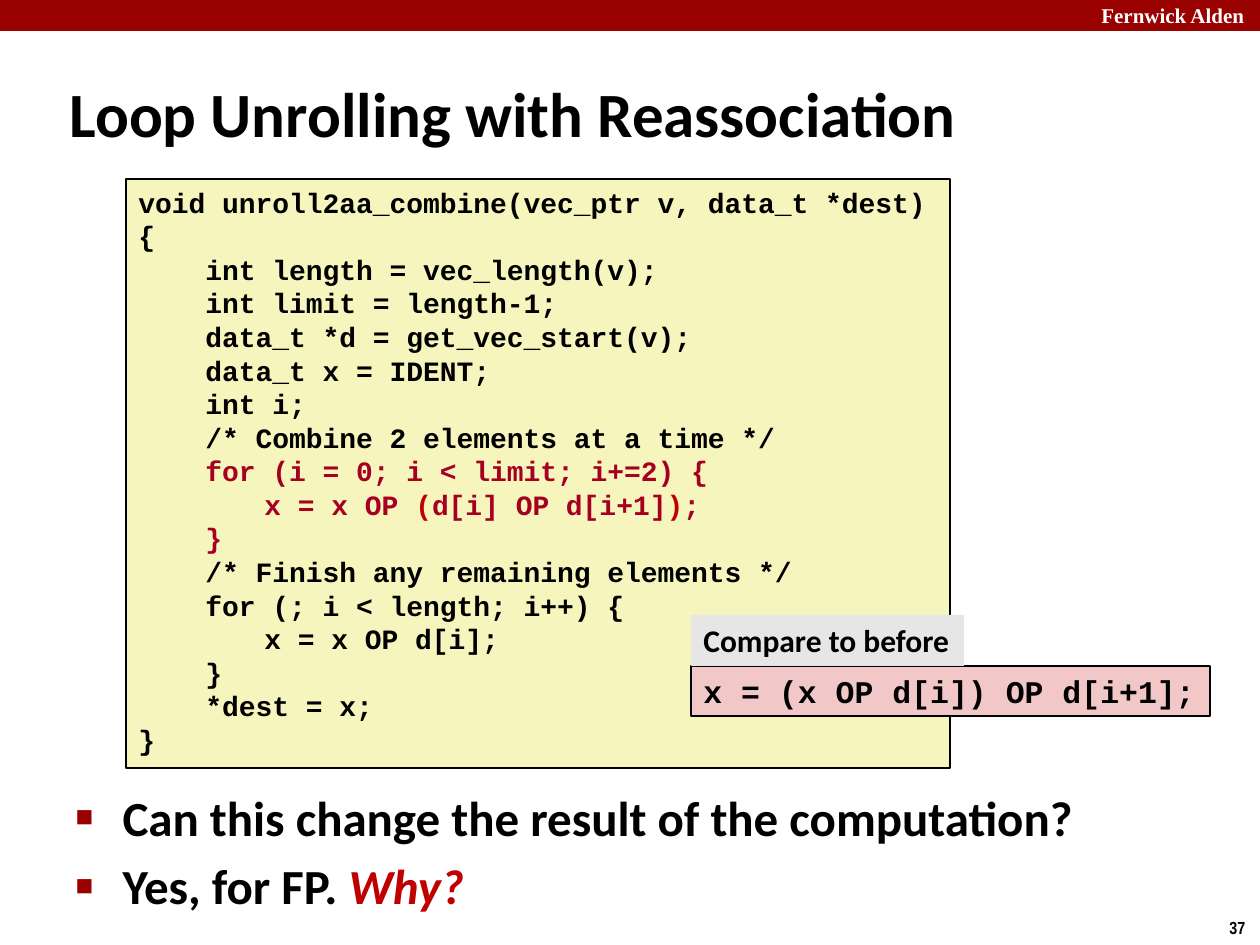
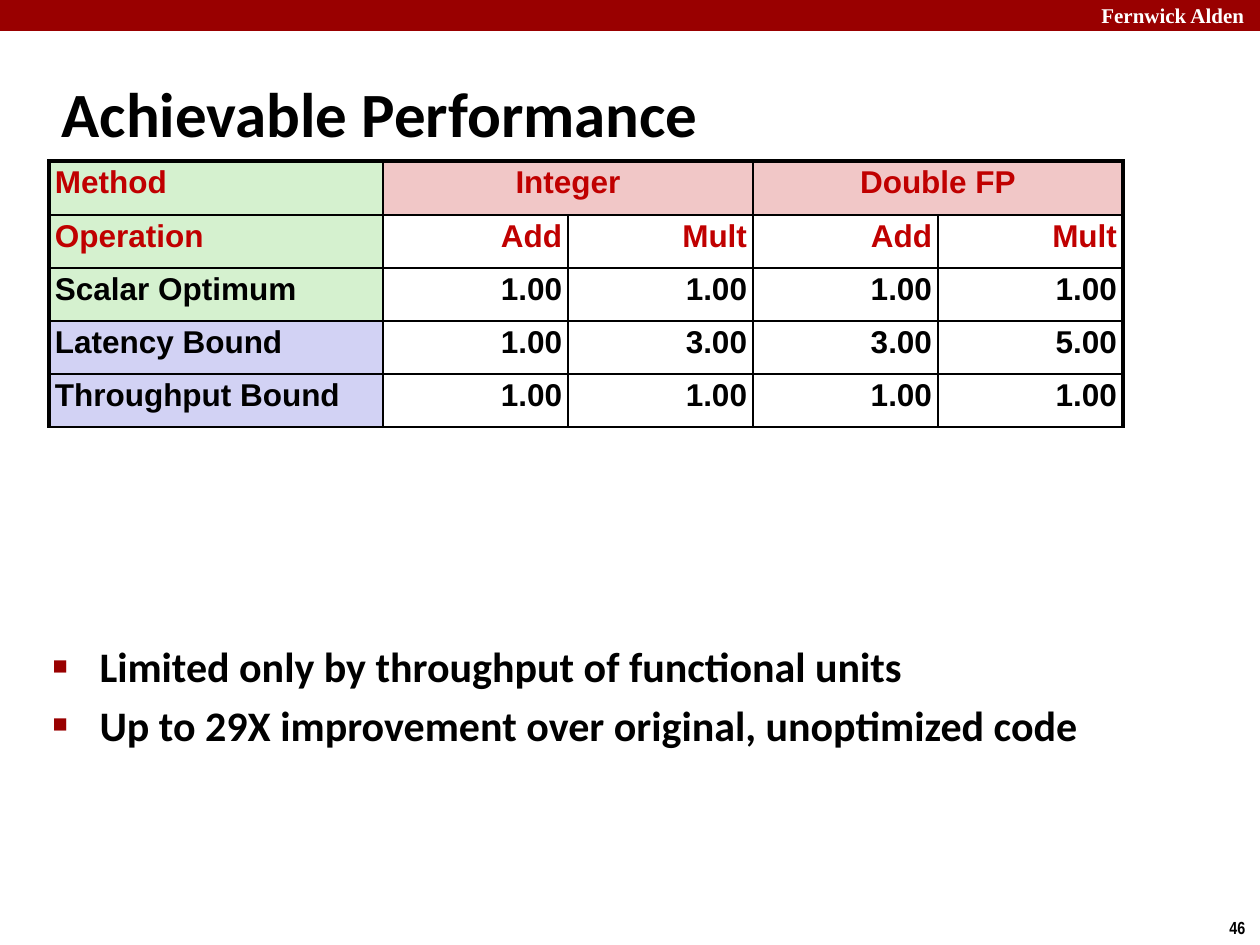
from lxml.etree import SubElement
from pptx import Presentation
from pptx.dml.color import RGBColor
from pptx.enum.shapes import MSO_SHAPE as Shape
from pptx.enum.text import MSO_ANCHOR as Anchor, MSO_AUTO_SIZE as AutoSize, PP_ALIGN as Align
from pptx.oxml.ns import qn
from pptx.util import Pt

BLACK = RGBColor(0x00, 0x00, 0x00)
WHITE = RGBColor(0xFF, 0xFF, 0xFF)
BAND_RED = RGBColor(0x99, 0x00, 0x00)
ACCENT_RED = RGBColor(0xC0, 0x00, 0x00)
LOOP_RED = RGBColor(0xA5, 0x00, 0x21)
CODE_YELLOW = RGBColor(0xF6, 0xF5, 0xBD)
PINK = RGBColor(0xF1, 0xC7, 0xC7)
GREY = RGBColor(0xE6, 0xE6, 0xE6)
GREEN = RGBColor(0xD5, 0xF1, 0xCF)
LAVENDER = RGBColor(0xD2, 0xD2, 0xF4)

PX_PER_INCH = 126
LEVEL = (0, 67, 126)
BULLET_INDENT = 47


def px(length):
    return round(length * 914400 / PX_PER_INCH)


class Deck:
    def __init__(self):
        self.presentation = Presentation()
        self.presentation.slide_width = px(1260)
        self.presentation.slide_height = px(945)
        self.slide = None

    def start_slide(self, heading, heading_left, number):
        layout = self.presentation.slide_layouts[1]
        self.slide = self.presentation.slides.add_slide(layout)
        self.box((0, 0, 1260, 31), BAND_RED)
        self.text((1089, -4, 180, 38), "Fernwick Alden", "Times New Roman", 12, WHITE)
        self.text((1217, 911, 43, 34), number, "Arial Narrow", 10)
        title = self.slide.shapes.title
        self.place(title, (heading_left, 60, 1046, 105))
        frame = self.prepare(title, Anchor.MIDDLE)
        self.fill_paragraph(frame.paragraphs[0], [heading], "Calibri", 36)

    def place(self, shape, area):
        shape.left, shape.top, shape.width, shape.height = map(px, area)

    def prepare(self, shape, anchor=Anchor.TOP):
        frame = shape.text_frame
        frame.word_wrap = True
        frame.auto_size = AutoSize.NONE
        frame.vertical_anchor = anchor
        return frame

    def fill_paragraph(self, paragraph, parts, font, size, color=BLACK, align=Align.LEFT):
        paragraph.alignment = align
        for part in parts:
            words, tint, italic = (part, color, None) if isinstance(part, str) else part
            run = paragraph.add_run()
            run.text = words
            run.font.name = font
            run.font.size = Pt(size)
            run.font.bold = True
            run.font.italic = italic
            run.font.color.rgb = tint

    def text(self, area, words, font, size, color=BLACK):
        holder = self.slide.shapes.add_textbox(*map(px, area))
        self.fill_paragraph(self.prepare(holder).paragraphs[0], [words], font, size, color)

    def box(self, area, fill, outline=None):
        panel = self.slide.shapes.add_shape(Shape.RECTANGLE, *map(px, area))
        panel.shadow.inherit = False
        panel.fill.solid()
        panel.fill.fore_color.rgb = fill
        if outline is None:
            panel.line.fill.background()
        else:
            panel.line.color.rgb = outline
            panel.line.width = Pt(1)
        return panel

    def label(self, area, words, font, size, fill, outline=None):
        frame = self.prepare(self.box(area, fill, outline))
        self.fill_paragraph(frame.paragraphs[0], [words], font, size)

    def code(self, area, lines):
        frame = self.prepare(self.box(area, CODE_YELLOW, BLACK))
        for index, (level, *parts) in enumerate(lines):
            paragraph = frame.add_paragraph() if index else frame.paragraphs[0]
            self.indent(paragraph, LEVEL[level])
            self.fill_paragraph(paragraph, parts, "Courier New", 16)

    def indent(self, paragraph, left, first=0):
        properties = paragraph._p.get_or_add_pPr()
        properties.set("marL", str(px(left)))
        properties.set("indent", str(px(first)))
        return properties

    def bullets(self, area, items, size):
        body = self.slide.placeholders[1]
        self.place(body, area)
        frame = self.prepare(body)
        for index, parts in enumerate(items):
            paragraph = frame.add_paragraph() if index else frame.paragraphs[0]
            properties = self.indent(paragraph, BULLET_INDENT, -BULLET_INDENT)
            tint = SubElement(properties, qn("a:buClr"))
            SubElement(tint, qn("a:srgbClr"), val=str(BAND_RED))
            SubElement(properties, qn("a:buSzPct"), val="60000")
            SubElement(properties, qn("a:buFont"), typeface="Arial")
            SubElement(properties, qn("a:buChar"), char="■")
            self.fill_paragraph(paragraph, parts, "Calibri", size)

    def borders(self, cell, widths):
        properties = cell._tc.get_or_add_tcPr()
        for side, width in zip("LRTB", widths):
            edge = SubElement(properties, qn(f"a:ln{side}"), w=str(Pt(width)))
            ink = SubElement(edge, qn("a:solidFill"))
            SubElement(ink, qn("a:srgbClr"), val=str(BLACK))

    def table(self, corner, widths, heights, rows, fills, merges):
        area = (*corner, sum(widths), sum(heights))
        grid = self.slide.shapes.add_table(len(rows), len(widths), *map(px, area)).table
        grid.first_row = grid.horz_banding = False
        for column, width in zip(grid.columns, widths):
            column.width = px(width)
        for row, height in zip(grid.rows, heights):
            row.height = px(height)
        for row, start, end in merges:
            grid.cell(row, start).merge(grid.cell(row, end))
        for r, values in enumerate(rows):
            for c, value in enumerate(values):
                cell = grid.cell(r, c)
                end = c + (cell.span_width if cell.is_merge_origin else 1)
                at_edges = (c == 0, end == len(widths), r == 0, False)
                self.borders(cell, [2.25 if edge else 1 for edge in at_edges])
                if (r, c) in fills:
                    cell.fill.solid()
                    cell.fill.fore_color.rgb = fills[r, c]
                else:
                    cell.fill.background()
                cell.margin_left = cell.margin_right = px(6)
                cell.margin_top = cell.margin_bottom = px(6)
                if value:
                    align = Align.LEFT if c == 0 else Align.CENTER if r == 0 else Align.RIGHT
                    paragraph = cell.text_frame.paragraphs[0]
                    paragraph.line_spacing = 0.95
                    color = ACCENT_RED if r < 2 else BLACK
                    self.fill_paragraph(paragraph, [value], "Arial", 18, color, align)


def add_reassociation(deck):
    deck.start_slide("Loop Unrolling with Reassociation", 57, "37")
    deck.bullets(
        (63, 781, 1094, 79),
        [
            ["Can this change the result of the computation?"],
            ["Yes, for FP. ", ("Why?", ACCENT_RED, True)],
        ],
        28,
    )
    deck.code(
        (126, 179, 824, 589),
        [
            (0, "void unroll2aa_combine(vec_ptr v, data_t *dest)"),
            (0, "{"),
            (1, "int length = vec_length(v);"),
            (1, "int limit = length-1;"),
            (1, "data_t *d = get_vec_start(v);"),
            (1, "data_t x = IDENT;"),
            (1, "int i;"),
            (1, "/* Combine 2 elements at a time */"),
            (1, ("for (i = 0; i < limit; i+=2) {", LOOP_RED, None)),
            (
                2,
                ("x = x OP ", LOOP_RED, None),
                ("(", ACCENT_RED, None),
                ("d[i] OP d[i+1]", LOOP_RED, None),
                (")", ACCENT_RED, None),
                (";", LOOP_RED, None),
            ),
            (1, ("}", LOOP_RED, None)),
            (1, "/* Finish any remaining elements */"),
            (1, "for (; i < length; i++) {"),
            (2, "x = x OP d[i];"),
            (1, "}"),
            (1, "*dest = x;"),
            (0, "}"),
        ],
    )
    deck.label((691, 666, 519, 50), "x = (x OP d[i]) OP d[i+1];", "Courier New", 18, PINK, BLACK)
    deck.label((691, 615, 273, 51), "Compare to before", "Calibri", 18, GREY)


def add_performance(deck):
    deck.start_slide("Achievable Performance", 49, "46")
    deck.bullets(
        (40, 634, 1145, 258),
        [
            ["Limited only by throughput of functional units"],
            ["Up to 29X improvement over original, unoptimized code"],
        ],
        24,
    )
    method_fills = [GREEN] * 3 + [LAVENDER] * 2
    fills = {(row, 0): fill for row, fill in enumerate(method_fills)}
    fills.update({(0, column): PINK for column in range(1, 5)})
    deck.table(
        (49, 161),
        [334] + [185] * 4,
        [54] + [53] * 4,
        [
            ["Method", "Integer", "", "Double FP", ""],
            ["Operation", "Add", "Mult", "Add", "Mult"],
            ["Scalar Optimum", "1.00", "1.00", "1.00", "1.00"],
            ["Latency Bound", "1.00", "3.00", "3.00", "5.00"],
            ["Throughput Bound", "1.00", "1.00", "1.00", "1.00"],
        ],
        fills,
        [(0, 1, 2), (0, 3, 4)],
    )


def main():
    deck = Deck()
    add_reassociation(deck)
    add_performance(deck)
    deck.presentation.save("out.pptx")


if __name__ == "__main__":
    main()
